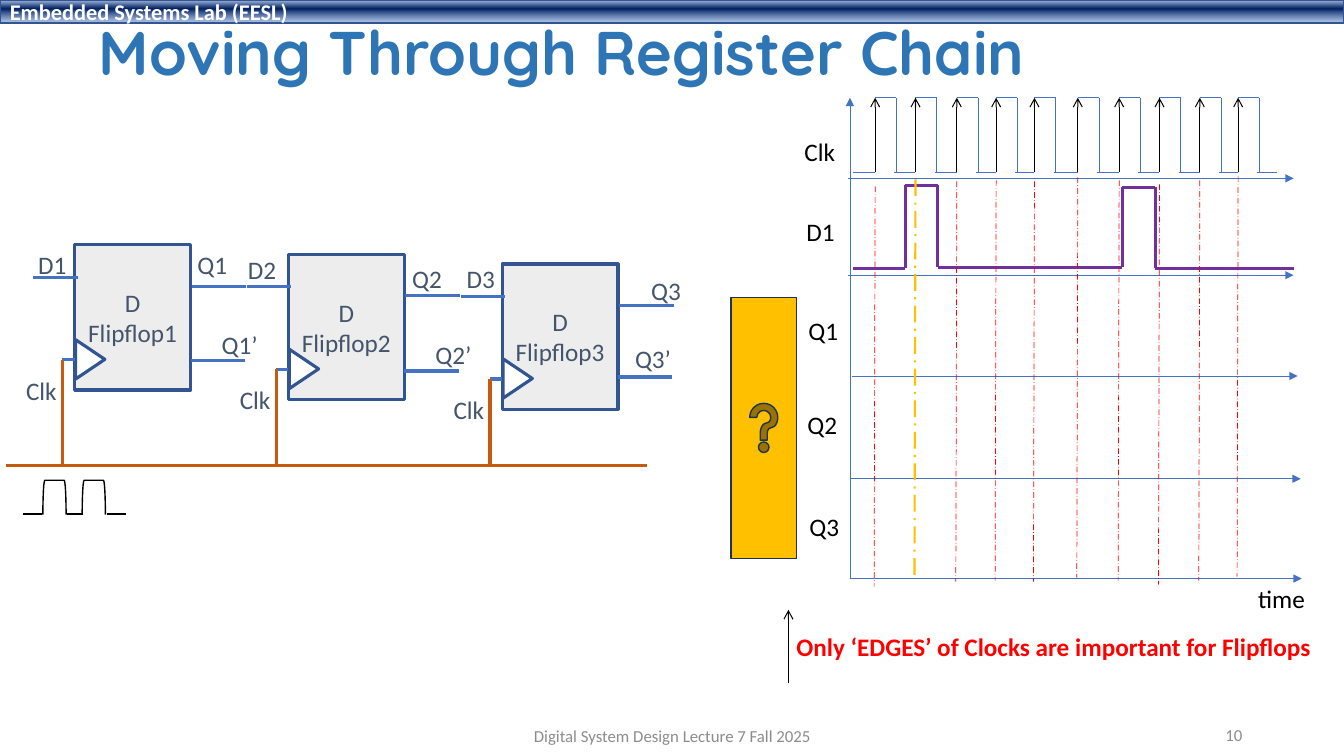
import pptx
import pptx.util
import pptx.oxml
import pptx.oxml.ns
import pptx.dml.color
import pptx.enum.dml
import pptx.enum.shapes
import pptx.enum.text

Inches = pptx.util.Inches
Pt = pptx.util.Pt
RGBColor = pptx.dml.color.RGBColor
SHAPE = pptx.enum.shapes.MSO_SHAPE
ALIGN = pptx.enum.text.PP_ALIGN
ANCHOR = pptx.enum.text.MSO_ANCHOR
AUTO_SIZE = pptx.enum.text.MSO_AUTO_SIZE
DASH = pptx.enum.dml.MSO_LINE.LONG_DASH_DOT
NS = pptx.oxml.ns.nsdecls("a")

BLACK = RGBColor(0x00, 0x00, 0x00)
WHITE = RGBColor(0xFF, 0xFF, 0xFF)
RED = RGBColor(0xFF, 0x00, 0x00)
GOLD = RGBColor(0xFF, 0xC0, 0x00)
PURPLE = RGBColor(0x70, 0x30, 0xA0)
BLUE = RGBColor(0x44, 0x72, 0xC4)
NAVY = RGBColor(0x32, 0x54, 0x91)
DARK_NAVY = RGBColor(0x1E, 0x32, 0x56)
TITLE_BLUE = RGBColor(0x2E, 0x75, 0xB6)
SLATE = RGBColor(0x44, 0x54, 0x6A)
ORANGE = RGBColor(0xC5, 0x5A, 0x11)
GRAY = RGBColor(0x8C, 0x8C, 0x8C)
PALE = RGBColor(0xED, 0xED, 0xED)

TITLE = "Moving Through Register Chain"
HEADER = "Embedded Systems Lab (EESL)"
FOOTER = "Digital System Design Lecture 7 Fall 2025"
NOTE = "Only ‘EDGES’ of Clocks are important for Flipflops"
HEADER_STOPS = [(2, "ABC0E4", 100), (38, "002060", 100), (93, "7E9ED6", 64)]

FLIPFLOPS = [
    (3.58, [("D1", 0.28, 2.42, 0.49), ("Q1", 1.86, 2.42, 0.5), ("Q1’", 2.1, 3.22, 0.56)]),
    (3.68, [("D2", 2.36, 2.47, 0.49), ("Q2", 3.99, 2.56, 0.5), ("Q2’", 4.22, 3.32, 0.56)]),
    (3.74, [("D3", 4.53, 2.56, 0.49), ("Q3", 6.36, 2.68, 0.5), ("Q3’", 6.2, 3.36, 0.56)]),
]
BOX_X, BOX_Y, BOX_W, BOX_H = 0.74, 2.43, 1.15, 1.44
STEP_X, STEP_Y = 2.12, 0.095
BUS_Y = 4.62

SIGNALS = [("Clk", 7.88, 1.3, 0.51), ("D1", 7.9, 2.1, 0.49), ("Q1", 7.92, 3.08, 0.5),
           ("Q2", 7.91, 4.01, 0.5), ("Q3", 7.93, 5.02, 0.5)]
AXES = [(8.41, 12.83, 1.77), (8.41, 12.83, 2.73), (8.45, 12.87, 3.73),
        (8.43, 12.9, 4.75), (8.44, 12.91, 5.74)]
EDGES = [8.68, 9.08, 9.49, 9.88, 10.26, 10.69, 11.1, 11.5, 11.9, 12.28]
GUIDE_TOPS = [1.85, 1.78, 1.8, 1.79, 1.8, 1.76, 1.79, 1.83, 1.79, 1.75]
GUIDE_LENGTH = 3.97
CLK_HIGH, CLK_LOW, CLK_WIDTH = 0.97, 1.71, 0.21
D1_WAVE = [(8.46, 2.66), (8.98, 2.66), (8.98, 1.84), (9.3, 1.84), (9.3, 2.65),
           (11.13, 2.65), (11.13, 1.86), (11.46, 1.86), (11.46, 2.66), (12.83, 2.66)]

prs = pptx.Presentation()
prs.slide_width = Inches(13.33)
prs.slide_height = Inches(7.5)
s = prs.slides.add_slide(prs.slide_layouts[5])


def write(tf, text, size=18, color=BLACK, bold=False, font="Calibri",
          align=ALIGN.LEFT, anchor=ANCHOR.TOP, wrap=False, spacing=None):
    tf.word_wrap = wrap
    tf.auto_size = AUTO_SIZE.NONE if wrap else AUTO_SIZE.SHAPE_TO_FIT_TEXT
    tf.vertical_anchor = anchor
    p = tf.paragraphs[0]
    p.alignment = align
    p.line_spacing = spacing
    r = p.add_run()
    r.text = text
    r.font.size = Pt(size)
    r.font.name = font
    r.font.bold = bold
    r.font.color.rgb = color


def label(text, x, y, w, **fmt):
    tb = s.shapes.add_textbox(Inches(x), Inches(y), Inches(w), Inches(0.4))
    write(tb.text_frame, text, **fmt)


def shape(kind, x, y, w, h, fill, line, width, rotation=0):
    sp = s.shapes.add_shape(kind, Inches(x), Inches(y), Inches(w), Inches(h))
    sp.shadow.inherit = False
    sp.rotation = rotation
    if fill is None:
        sp.fill.background()
    else:
        sp.fill.solid()
        sp.fill.fore_color.rgb = fill
    sp.line.color.rgb = line
    sp.line.width = Pt(width)
    return sp


def line(x1, y1, x2, y2, color, width, dash=None, head=None):
    c = s.shapes.add_connector(pptx.enum.shapes.MSO_CONNECTOR.STRAIGHT,
                               Inches(x1), Inches(y1), Inches(x2), Inches(y2))
    c.line.color.rgb = color
    c.line.width = Pt(width)
    if dash:
        c.line.dash_style = dash
    if head:
        c.line._get_or_add_ln().append(pptx.oxml.parse_xml(f'<a:tailEnd {NS} type="{head}"/>'))
    c._element.spPr.append(pptx.oxml.parse_xml(f"<a:effectLst {NS}/>"))


def header_band():
    band = shape(SHAPE.RECTANGLE, 0, 0, 13.33, 0.23, None, NAVY, 1)
    stops = "".join(
        f'<a:gs pos="{pos * 1000}"><a:srgbClr val="{rgb}"><a:alpha val="{alpha * 1000}"/></a:srgbClr></a:gs>'
        for pos, rgb, alpha in HEADER_STOPS)
    grad = pptx.oxml.parse_xml(
        f'<a:gradFill {NS} rotWithShape="1"><a:gsLst>{stops}</a:gsLst>'
        f'<a:lin ang="5400000" scaled="0"/></a:gradFill>')
    spPr = band._element.spPr
    spPr.replace(spPr.find(pptx.oxml.ns.qn("a:noFill")), grad)
    write(band.text_frame, HEADER, size=16, color=WHITE, bold=True, anchor=ANCHOR.MIDDLE, wrap=True)


def flipflop(i, inverted_y, labels):
    x, y = BOX_X + i * STEP_X, BOX_Y + i * STEP_Y
    right, clk_x, clk_y = x + BOX_W, x - 0.12, y + 1.14
    box = shape(SHAPE.RECTANGLE, x, y, BOX_W, BOX_H, PALE, NAVY, 2.25)
    write(box.text_frame, f"D Flipflop{i + 1}", color=SLATE, align=ALIGN.CENTER,
          anchor=ANCHOR.MIDDLE, wrap=True)
    shape(SHAPE.ISOSCELES_TRIANGLE, x - 0.04, y + 0.99, 0.39, 0.29, WHITE, NAVY, 2.25, 90)
    line(x, clk_y, clk_x, clk_y, BLUE, 2.25)
    line(x - 0.41, y + 0.32, x + 0.03, y + 0.32, BLUE, 2.25)
    line(right + 0.01, y + 0.41, right + 0.55, y + 0.41, BLUE, 2.25)
    line(right, inverted_y, right + 0.54, inverted_y, BLUE, 2.25)
    label("Clk", x - 0.58, y + 1.24, 0.51, color=SLATE)
    for place in labels:
        label(*place, color=SLATE)
    line(clk_x, clk_y, clk_x, BUS_Y, ORANGE, 2.25)


def clock_wave():
    line(8.46, CLK_LOW, EDGES[0], CLK_LOW, BLUE, 0.5)
    for x, following in zip(EDGES, EDGES[1:] + [12.67]):
        fall = x + CLK_WIDTH
        line(x, CLK_LOW, x, CLK_HIGH, BLACK, 0.75, head="arrow")
        line(x, CLK_HIGH, fall, CLK_HIGH, BLUE, 0.5)
        line(fall, CLK_HIGH, fall, CLK_LOW, BLUE, 0.5)
        line(fall - 0.02, CLK_LOW, following, CLK_LOW, BLUE, 0.5)


def timing_diagram():
    for start, end in zip(D1_WAVE, D1_WAVE[1:]):
        line(*start, *end, PURPLE, 2.25)
    clock_wave()
    for x1, x2, y in AXES:
        line(x1, y, x2, y, BLUE, 0.5, head="triangle")
    line(8.43, 5.74, 8.43, 0.97, BLUE, 0.5, head="triangle")
    label("time", 12.38, 5.74, 0.67)
    for i, (x, top) in enumerate(zip(EDGES, GUIDE_TOPS)):
        color, width = (GOLD, 1.5) if i == 1 else (RED, 0.5)
        line(x, top, x - 0.01, top + GUIDE_LENGTH, color, width, dash=DASH)
    for place in SIGNALS:
        label(*place)


def clock_symbol():
    for x in (0.37, 0.76):
        shape(SHAPE.LEFT_BRACKET, x, 4.82, 0.34, 0.23, None, BLACK, 1, 90)
    for x1, x2 in ((0.23, 0.42), (0.66, 0.82), (1.06, 1.25)):
        line(x1, 5.1, x2, 5.1, BLACK, 1)


header_band()
title = s.shapes.title
title.left, title.top, title.width, title.height = map(Inches, (0.88, 0.05, 10.38, 1.01))
write(title.text_frame, TITLE, size=44, color=TITLE_BLUE, bold=True, font="Quicksand",
      anchor=ANCHOR.MIDDLE, wrap=True, spacing=0.9)
for i, (inverted_y, labels) in enumerate(FLIPFLOPS):
    flipflop(i, inverted_y, labels)
line(0.06, BUS_Y, 6.42, BUS_Y, ORANGE, 2.25)
clock_symbol()
timing_diagram()
shape(SHAPE.ACTION_BUTTON_HELP, 7.25, 2.95, 0.65, 2.59, GOLD, DARK_NAVY, 1)
label(NOTE, 7.8, 6.21, 5.35, color=RED, bold=True)
line(7.82, 6.78, 7.82, 6.05, BLACK, 0.75, head="arrow")
label(FOOTER, 4.42, 7.1, 4.5, size=12, color=GRAY, align=ALIGN.CENTER, anchor=ANCHOR.MIDDLE, wrap=True)
label("10", 9.42, 7.09, 3, size=12, color=GRAY, align=ALIGN.RIGHT, anchor=ANCHOR.MIDDLE, wrap=True)
prs.save("out.pptx")
